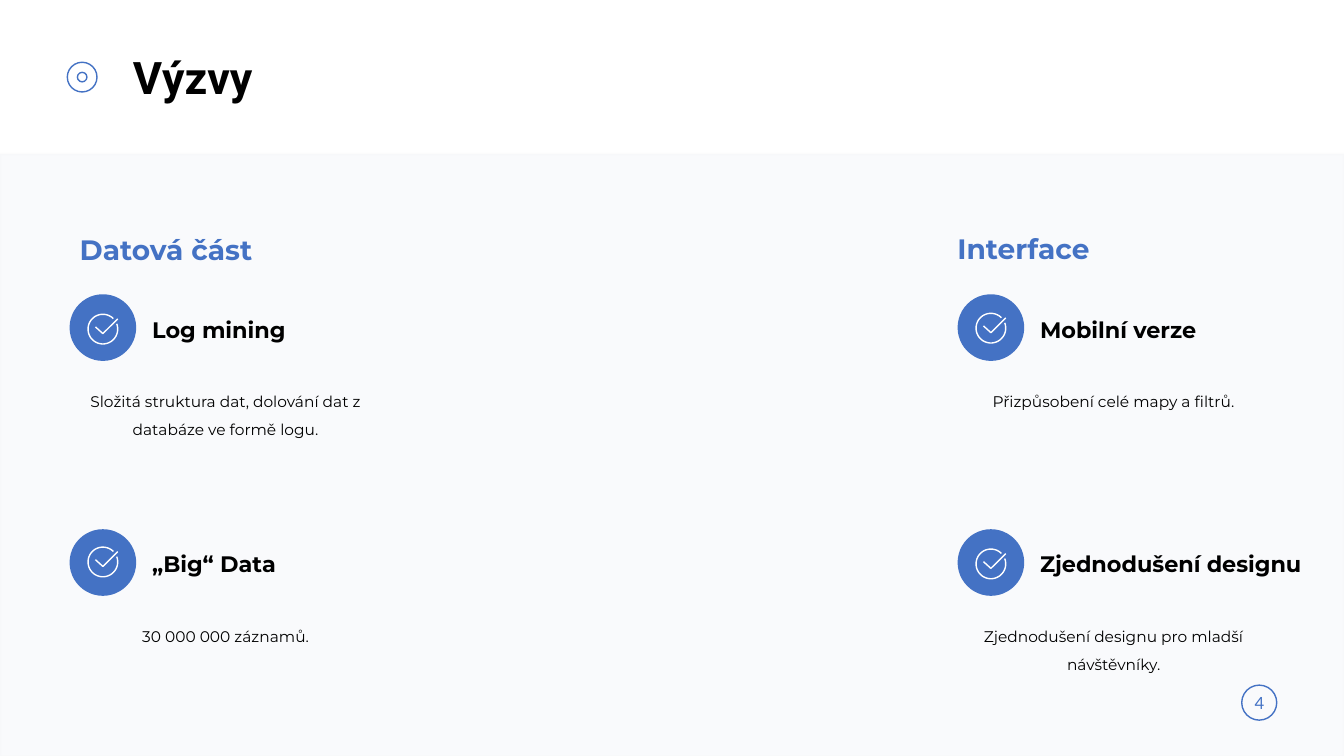
from math import cos, radians, sin

from lxml.etree import SubElement
from pptx import Presentation
from pptx.dml.color import RGBColor
from pptx.enum.shapes import MSO_SHAPE as SHAPE
from pptx.enum.text import MSO_ANCHOR as ANCHOR, MSO_AUTO_SIZE as AUTO, PP_ALIGN as ALIGN
from pptx.oxml.ns import qn
from pptx.util import Pt

BLUE = RGBColor(0x44, 0x72, 0xC4)
BLACK = RGBColor(0, 0, 0)
WHITE = RGBColor(0xFF, 0xFF, 0xFF)
PANEL = RGBColor(0x7B, 0x8D, 0xB3)
PANEL_EDGE = RGBColor(0xEB, 0xEB, 0xEB)


def write(sp, box, text, size, color=BLACK, font="Montserrat", bold=False,
          align=ALIGN.LEFT, anchor=ANCHOR.TOP, inset=(0, 0), spacing=1.0, wrap=True):
    sp.left, sp.top, sp.width, sp.height = [Pt(v) for v in box]
    tf = sp.text_frame
    tf.word_wrap, tf.auto_size, tf.vertical_anchor = wrap, AUTO.NONE, anchor
    tf.margin_left = tf.margin_right = Pt(inset[0])
    tf.margin_top = tf.margin_bottom = Pt(inset[1])
    p = tf.paragraphs[0]
    p.alignment, p.line_spacing, p.space_before = align, spacing, Pt(0)
    r = p.add_run()
    r.text = text
    r.font.size, r.font.name, r.font.bold = Pt(size), font, bold
    r.font.color.rgb = color


def paint(sp, fill=None, line=None, width=1):
    sp.shadow.inherit = False
    if fill is None:
        sp.fill.background()
    else:
        sp.fill.solid()
        sp.fill.fore_color.rgb = fill
    if line is None:
        sp.line.fill.background()
    else:
        sp.line.color.rgb = line
        sp.line.width = Pt(width)


prs = Presentation()
prs.slide_width, prs.slide_height = Pt(960), Pt(540)
s = prs.slides.add_slide(prs.slide_layouts[1])
shapes = s.shapes

# Pale panel behind everything
panel = shapes.add_shape(SHAPE.RECTANGLE, 0, Pt(110), Pt(960), Pt(430.5))
paint(panel, PANEL, PANEL_EDGE, 2)
for clr, alpha in zip(panel._element.spPr.iter(qn("a:srgbClr")), (4000, 10000)):
    SubElement(clr, qn("a:alpha")).set("val", str(alpha))
shapes._spTree.insert(2, panel._element)

# Title with its ring marker
write(shapes.title, (87.8, 36, 725, 38.2), "Výzvy", 32, font="Roboto", bold=True,
      inset=(7.2, 3.6), spacing=0.9)
for radius in (10.6, 3.4):
    ring = shapes.add_shape(SHAPE.OVAL, Pt(58.7 - radius), Pt(55.1 - radius),
                            Pt(2 * radius), Pt(2 * radius))
    paint(ring, line=BLUE)

# Column headings
body = s.placeholders[1]
heading = dict(size=20, color=BLUE, bold=True, inset=(7.2, 3.6), spacing=0.9)
write(body, (49.7, 164.9, 516, 21.6), "Datová část", **heading)
pPr = body.text_frame.paragraphs[0]._p.get_or_add_pPr()
pPr.set("marL", "0")
pPr.set("indent", "0")
SubElement(pPr, qn("a:buNone"))
write(shapes.add_textbox(0, 0, 0, 0), (676.8, 164.9, 275.8, 21.6), "Interface", **heading)

# Challenge cards: left, top, centre of the check mark, label, description
LEFT, RIGHT, UPPER, LOWER = 49.7, 684, 210.2, 378
cards = [
    (LEFT, UPPER, 235.1, "Log mining",
     "Složitá struktura dat, dolování dat z databáze ve formě logu."),
    (LEFT, LOWER, 401.4, "„Big“ Data", "30 000 000 záznamů."),
    (RIGHT, UPPER, 234.4, "Mobilní verze", "Přizpůsobení celé mapy a filtrů."),
    (RIGHT, LOWER, 402.8, "Zjednodušení designu",
     "Zjednodušení designu pro mladší návštěvníky."),
]
arc = [(10.6 * cos(radians(a)), 10.6 * sin(radians(a))) for a in range(-21, 316, 6)]
tick = [(-5.3, -1.6), (0, 3.2), (10.6, -7.3)]

for left, top, check_y, label, description in cards:
    disc = shapes.add_shape(SHAPE.OVAL, Pt(left), Pt(top), Pt(47.6), Pt(47.6))
    paint(disc, BLUE)

    # Open circle and tick in one outline
    check_x = left + 23.8
    arc_pts, tick_pts = [[(Pt(check_x + x), Pt(check_y + y)) for x, y in pts]
                         for pts in (arc, tick)]
    fb = shapes.build_freeform(*arc_pts[0])
    fb.add_line_segments(arc_pts[1:], close=False)
    fb.move_to(*tick_pts[0])
    fb.add_line_segments(tick_pts[1:], close=False)
    paint(fb.convert_to_shape(), line=WHITE)

    write(shapes.add_textbox(0, 0, 0, 0), (left + 59, top + 15.2, 208, 19.4), label, 16,
          bold=True, anchor=ANCHOR.MIDDLE)
    write(shapes.add_textbox(0, 0, 0, 0), (left, top + 63.4, 223, 62.6), description, 11,
          align=ALIGN.CENTER, spacing=1.5)

# Page number
badge = shapes.add_shape(SHAPE.OVAL, Pt(887), Pt(489.4), Pt(25), Pt(25))
paint(badge, line=BLUE)
write(shapes.add_textbox(0, 0, 0, 0), (886, 491, 27.4, 21.6), "4", 12, BLUE, "Lato",
      align=ALIGN.CENTER, inset=(7.2, 3.6), wrap=False)

prs.save("out.pptx")
